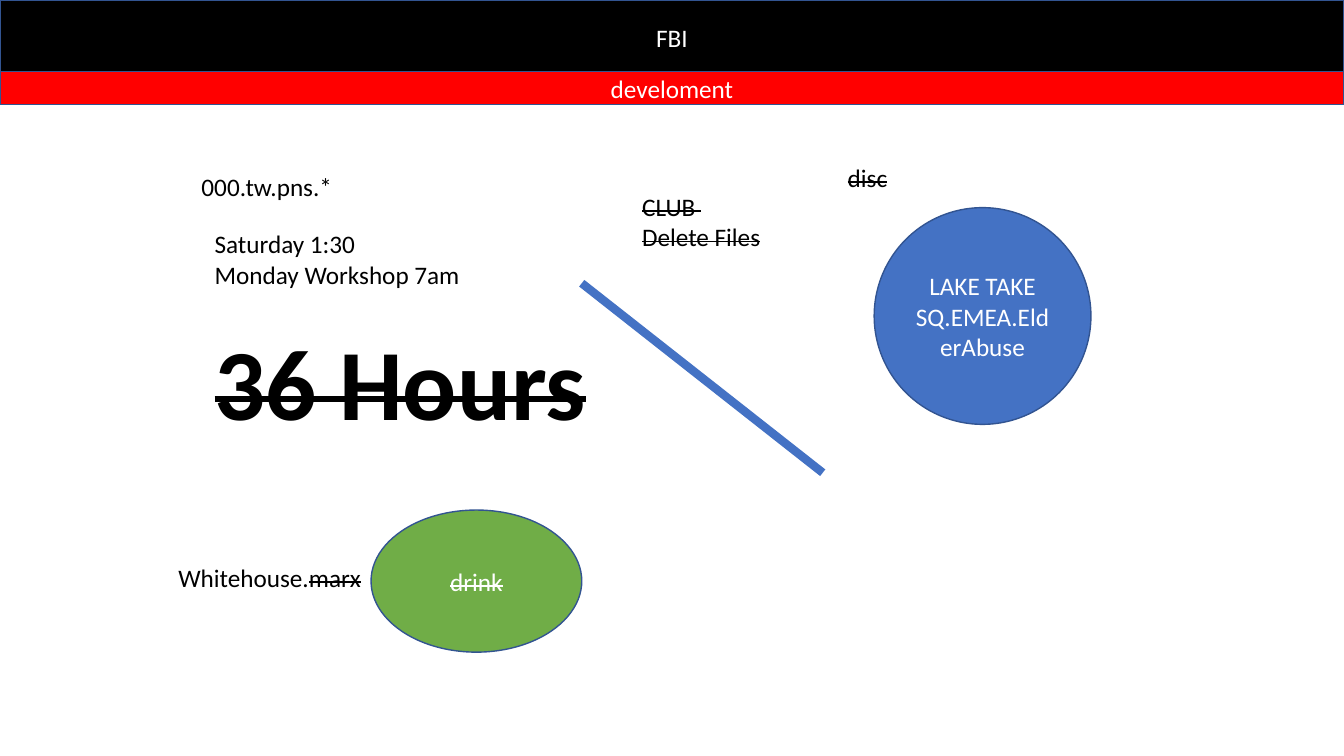
from dataclasses import dataclass

from lxml import etree
from pptx import Presentation
from pptx.dml.color import RGBColor
from pptx.enum.shapes import MSO_CONNECTOR, MSO_SHAPE
from pptx.enum.text import MSO_ANCHOR, MSO_AUTO_SIZE, PP_ALIGN
from pptx.oxml.ns import qn
from pptx.util import Inches, Pt

RECTANGLE, OVAL = MSO_SHAPE.RECTANGLE, MSO_SHAPE.OVAL
STRAIGHT = MSO_CONNECTOR.STRAIGHT
MIDDLE, CENTER = MSO_ANCHOR.MIDDLE, PP_ALIGN.CENTER
FIT_SHAPE = MSO_AUTO_SIZE.SHAPE_TO_FIT_TEXT
BLANK_LAYOUT = 6


@dataclass(frozen=True)
class Theme:
    font: str = "Calibri"
    body: Pt = Pt(18)
    headline: Pt = Pt(72)
    outline_width: Pt = Pt(1)
    divider_width: Pt = Pt(6)
    black: RGBColor = RGBColor(0x00, 0x00, 0x00)
    white: RGBColor = RGBColor(0xFF, 0xFF, 0xFF)
    red: RGBColor = RGBColor(0xFF, 0x00, 0x00)
    blue: RGBColor = RGBColor(0x44, 0x72, 0xC4)
    green: RGBColor = RGBColor(0x70, 0xAD, 0x47)
    outline: RGBColor = RGBColor(0x32, 0x54, 0x91)


THEME = Theme()


def format_run(run, color, size=THEME.body, bold=False, struck=False):
    run.font.name = THEME.font
    run.font.size = size
    run.font.bold = bold
    run.font.color.rgb = color
    if struck:
        run._r.get_or_add_rPr().set("strike", "sngStrike")


def write_text(frame, text, color, struck=False):
    frame.text = text
    for paragraph in frame.paragraphs:
        for run in paragraph.runs:
            format_run(run, color, struck=struck)


def add_label(slide, box, text, struck=False):
    """Add an unwrapped text box and return its text frame."""
    frame = slide.shapes.add_textbox(*map(Inches, box)).text_frame
    frame.word_wrap = False
    frame.auto_size = FIT_SHAPE
    write_text(frame, text, THEME.black, struck)
    return frame


def add_filled_shape(slide, kind, box, fill, text, struck=False):
    shape = slide.shapes.add_shape(kind, *map(Inches, box))
    shape.shadow.inherit = False
    shape.fill.solid()
    shape.fill.fore_color.rgb = fill
    shape.line.color.rgb = THEME.outline
    shape.line.width = THEME.outline_width
    frame = shape.text_frame
    frame.word_wrap = True
    frame.vertical_anchor = MIDDLE
    write_text(frame, text, THEME.white, struck)
    for paragraph in frame.paragraphs:
        paragraph.alignment = CENTER


def add_divider(slide, start, end):
    divider = slide.shapes.add_connector(STRAIGHT, *map(Inches, start + end))
    divider.line.color.rgb = THEME.blue
    divider.line.width = THEME.divider_width
    etree.SubElement(divider._element.spPr, qn("a:effectLst"))


def add_schedule(slide):
    """Add the two appointments with the struck headline below them."""
    frame = add_label(slide, (2.03, 2.22, 3.93, 2.22),
                      "Saturday 1:30\nMonday Workshop 7am")
    headline = frame.add_paragraph()
    headline.text = "36 Hours"
    headline.space_before = Pt(22)
    format_run(headline.runs[0], THEME.black, THEME.headline, bold=True, struck=True)


def add_half_struck_label(slide):
    frame = add_label(slide, (1.67, 5.53, 2.03, 0.4), "Whitehouse.")
    ending = frame.paragraphs[0].add_run()
    ending.text = "marx"
    format_run(ending, THEME.black, struck=True)


def main():
    presentation = Presentation()
    presentation.slide_width = Inches(13.33)
    presentation.slide_height = Inches(7.5)
    slide = presentation.slides.add_slide(presentation.slide_layouts[BLANK_LAYOUT])

    add_filled_shape(slide, RECTANGLE, (0, 0, 13.33, 0.74), THEME.black, "FBI")
    add_filled_shape(slide, RECTANGLE, (0, 0.71, 13.33, 0.33), THEME.red, "develoment")
    add_divider(slide, (5.77, 2.81), (8.16, 4.69))
    add_label(slide, (6.27, 1.85, 1.39, 0.71), "CLUB \nDelete Files", struck=True)
    add_label(slide, (1.9, 1.65, 1.51, 0.4), "000.tw.pns.*")
    add_filled_shape(slide, OVAL, (8.67, 2.06, 2.15, 2.15), THEME.blue,
                     "LAKE TAKE\nSQ.EMEA.ElderAbuse")
    add_label(slide, (8.31, 1.56, 0.6, 0.4), "disc", struck=True)
    add_schedule(slide)
    add_filled_shape(slide, OVAL, (3.68, 5.06, 2.09, 1.41), THEME.green,
                     "drink", struck=True)
    add_half_struck_label(slide)

    presentation.save("out.pptx")


if __name__ == "__main__":
    main()
